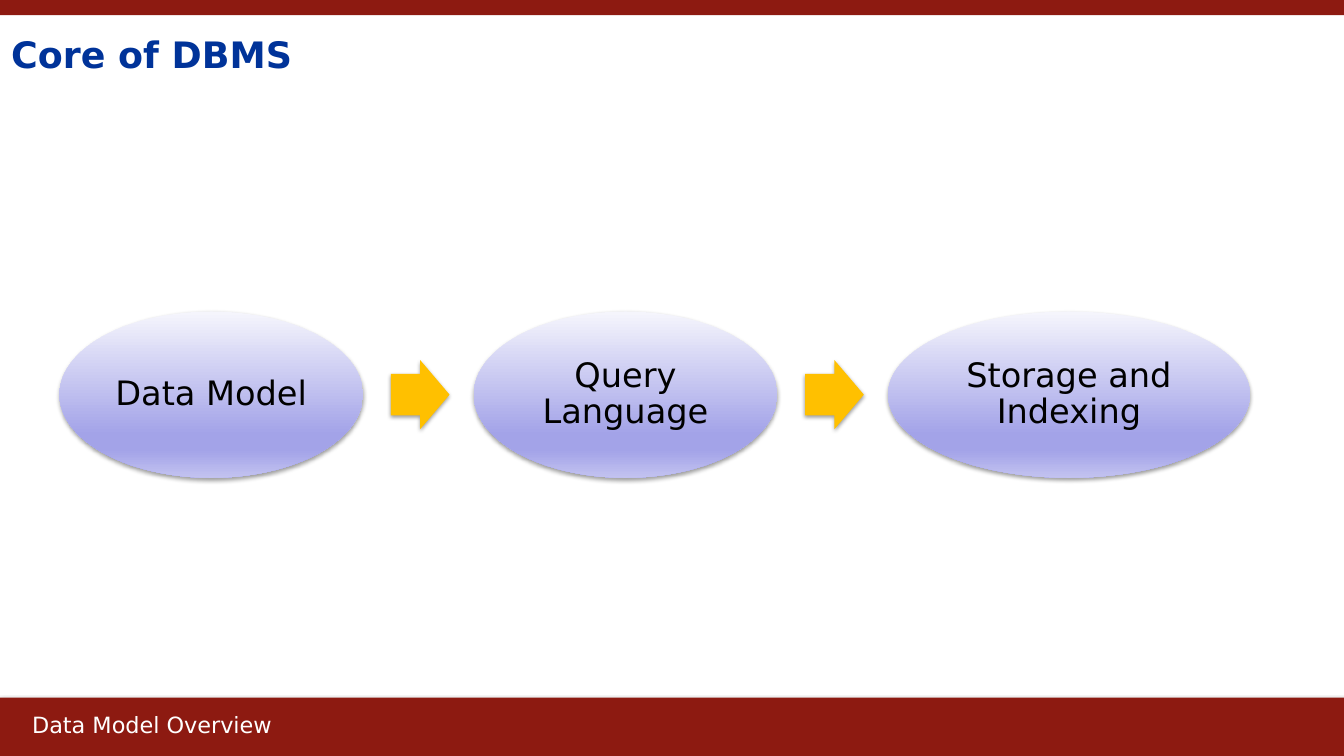
"""Build the "Core of DBMS" slide: three linked stages between two red bars."""
from dataclasses import dataclass

from lxml.etree import SubElement
from pptx import Presentation
from pptx.dml.color import RGBColor
from pptx.enum.shapes import MSO_SHAPE
from pptx.enum.text import MSO_ANCHOR, MSO_AUTO_SIZE, PP_ALIGN
from pptx.oxml.ns import qn
from pptx.shapes.autoshape import Shape
from pptx.slide import Slide
from pptx.text.text import TextFrame
from pptx.util import Cm, Pt


@dataclass(frozen=True)
class Theme:
    font: str = "DejaVu Sans"
    bar: str = "8D1A11"
    title: str = "003399"
    stage_text: str = "000000"
    caption: str = "FFFFFF"
    arrow: str = "FFC000"
    shadow: str = "000000"
    stage_stops: tuple[tuple[int, str], ...] = (
        (0, "F5F5FC"), (74, "A3A3E8"), (83, "A3A3E8"), (100, "C2C2F0"))
    title_size: int = 26
    stage_size: int = 24
    caption_size: int = 16


@dataclass(frozen=True)
class Box:
    left: float
    top: float
    width: float
    height: float

    def lengths(self) -> tuple[Cm, Cm, Cm, Cm]:
        return Cm(self.left), Cm(self.top), Cm(self.width), Cm(self.height)


@dataclass(frozen=True)
class Stage:
    label: str
    width: float
    inset: float


THEME = Theme()
SLIDE_WIDTH, SLIDE_HEIGHT = 33.87, 19.05
TOP_BAR = Box(0, 0, SLIDE_WIDTH, 0.38)
BOTTOM_BAR = Box(0, 17.58, SLIDE_WIDTH, 1.47)
TITLE = Box(0.28, 0.48, 33.07, 2.01)
CAPTION = Box(0.56, 17.78, 6.81, 0.94)
STAGES = (
    Stage("Data Model", 7.65, 0.18),
    Stage("Query Language", 7.65, 0.18),
    Stage("Storage and Indexing", 9.12, 0.25),
)
STAGE_LEFT, STAGE_TOP, STAGE_HEIGHT, STAGE_GAP = 1.5, 7.85, 4.19, 2.79
ARROW_OFFSET, ARROW_WIDTH, ARROW_HEIGHT = 0.7, 1.48, 1.74


def write_text(frame: TextFrame, text: str, *, size: int, color: str, bold: bool = False,
               align: PP_ALIGN = PP_ALIGN.LEFT, spacing: float = 1.0, wrap: bool = True,
               anchor: MSO_ANCHOR = MSO_ANCHOR.MIDDLE,
               insets: tuple[float, float, float, float] = (0.25, 0.13, 0.25, 0.13)) -> None:
    frame.word_wrap = wrap
    frame.auto_size = MSO_AUTO_SIZE.NONE if wrap else MSO_AUTO_SIZE.SHAPE_TO_FIT_TEXT
    frame.vertical_anchor = anchor
    frame.margin_left, frame.margin_top, frame.margin_right, frame.margin_bottom = map(Cm, insets)
    frame.text = text
    paragraph = frame.paragraphs[0]
    paragraph.alignment = align
    paragraph.line_spacing = spacing
    font = paragraph.runs[0].font
    font.name, font.size, font.bold = THEME.font, Pt(size), bold
    font.color.rgb = RGBColor.from_string(color)


def add_solid(slide: Slide, kind: MSO_SHAPE, box: Box, color: str) -> Shape:
    solid = slide.shapes.add_shape(kind, *box.lengths())
    solid.shadow.inherit = False
    solid.line.fill.background()
    solid.fill.solid()
    solid.fill.fore_color.rgb = RGBColor.from_string(color)
    return solid


def add_color(parent, color: str):
    return SubElement(parent, qn("a:srgbClr"), val=color)


def cast_shadow(shape: Shape, opacity: int, distance: float) -> None:
    effects = shape._element.spPr.find(qn("a:effectLst"))
    shadow = SubElement(effects, qn("a:outerShdw"), blurRad=str(Pt(3.1)), dist=str(Pt(distance)),
                        dir="5400000", rotWithShape="0")
    SubElement(add_color(shadow, THEME.shadow), qn("a:alpha"), val=str(opacity * 1000))


def shade(shape: Shape, stops: tuple[tuple[int, str], ...]) -> None:
    shape.fill.gradient()
    shape.fill.gradient_angle = 270
    stop_list = shape._element.spPr.find(qn("a:gradFill")).find(qn("a:gsLst"))
    stop_list.clear()
    for percent, color in stops:
        add_color(SubElement(stop_list, qn("a:gs"), pos=str(percent * 1000)), color)


def add_stage(slide: Slide, stage: Stage, left: float) -> None:
    box = Box(left, STAGE_TOP, stage.width, STAGE_HEIGHT)
    ellipse = add_solid(slide, MSO_SHAPE.OVAL, box, THEME.stage_stops[0][1])
    shade(ellipse, THEME.stage_stops)
    cast_shadow(ellipse, 38, 1.6)
    write_text(ellipse.text_frame, stage.label, size=THEME.stage_size, color=THEME.stage_text,
               align=PP_ALIGN.CENTER, spacing=0.9, insets=(stage.inset,) * 4)


def add_arrow(slide: Slide, left: float) -> None:
    top = STAGE_TOP + (STAGE_HEIGHT - ARROW_HEIGHT) / 2
    arrow = add_solid(slide, MSO_SHAPE.RIGHT_ARROW,
                      Box(left, top, ARROW_WIDTH, ARROW_HEIGHT), THEME.arrow)
    arrow.adjustments[0], arrow.adjustments[1] = 0.6, 0.5
    cast_shadow(arrow, 38, 1.6)


def main() -> None:
    deck = Presentation()
    deck.slide_width, deck.slide_height = Cm(SLIDE_WIDTH), Cm(SLIDE_HEIGHT)
    slide = deck.slides.add_slide(deck.slide_layouts[5])

    cast_shadow(add_solid(slide, MSO_SHAPE.RECTANGLE, BOTTOM_BAR, THEME.bar), 35, 1.8)
    add_solid(slide, MSO_SHAPE.RECTANGLE, TOP_BAR, THEME.bar)

    title = slide.shapes.title
    title.left, title.top, title.width, title.height = TITLE.lengths()
    write_text(title.text_frame, "Core of DBMS", size=THEME.title_size, color=THEME.title,
               bold=True, spacing=0.95, insets=(0, 0, 0.25, 0.13))

    left = STAGE_LEFT
    for position, stage in enumerate(STAGES):
        if position:
            add_arrow(slide, left - STAGE_GAP + ARROW_OFFSET)
        add_stage(slide, stage, left)
        left += stage.width + STAGE_GAP

    caption = slide.shapes.add_textbox(*CAPTION.lengths())
    write_text(caption.text_frame, "Data Model Overview", size=THEME.caption_size,
               color=THEME.caption, wrap=False, anchor=MSO_ANCHOR.TOP)
    deck.save("out.pptx")


if __name__ == "__main__":
    main()
